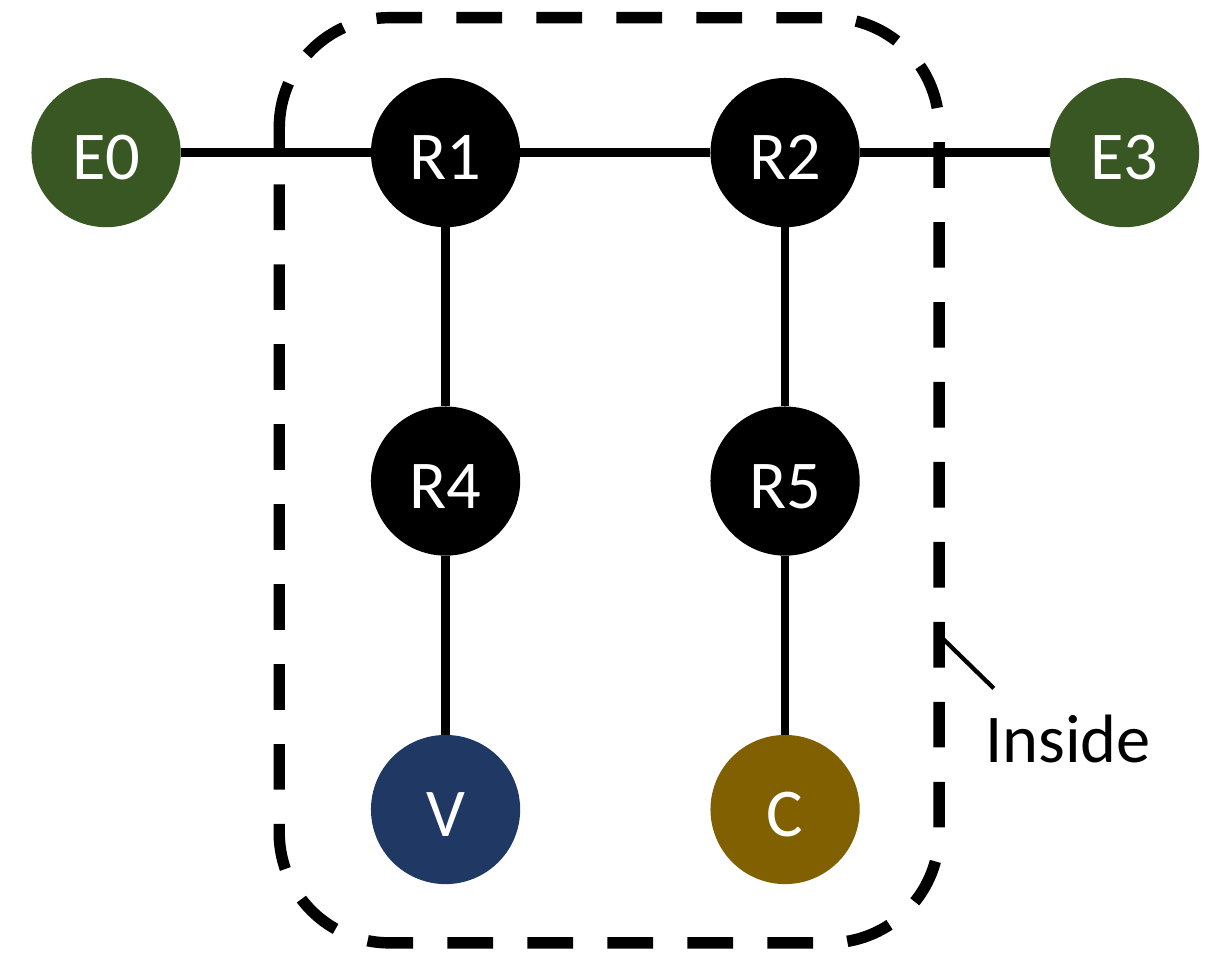
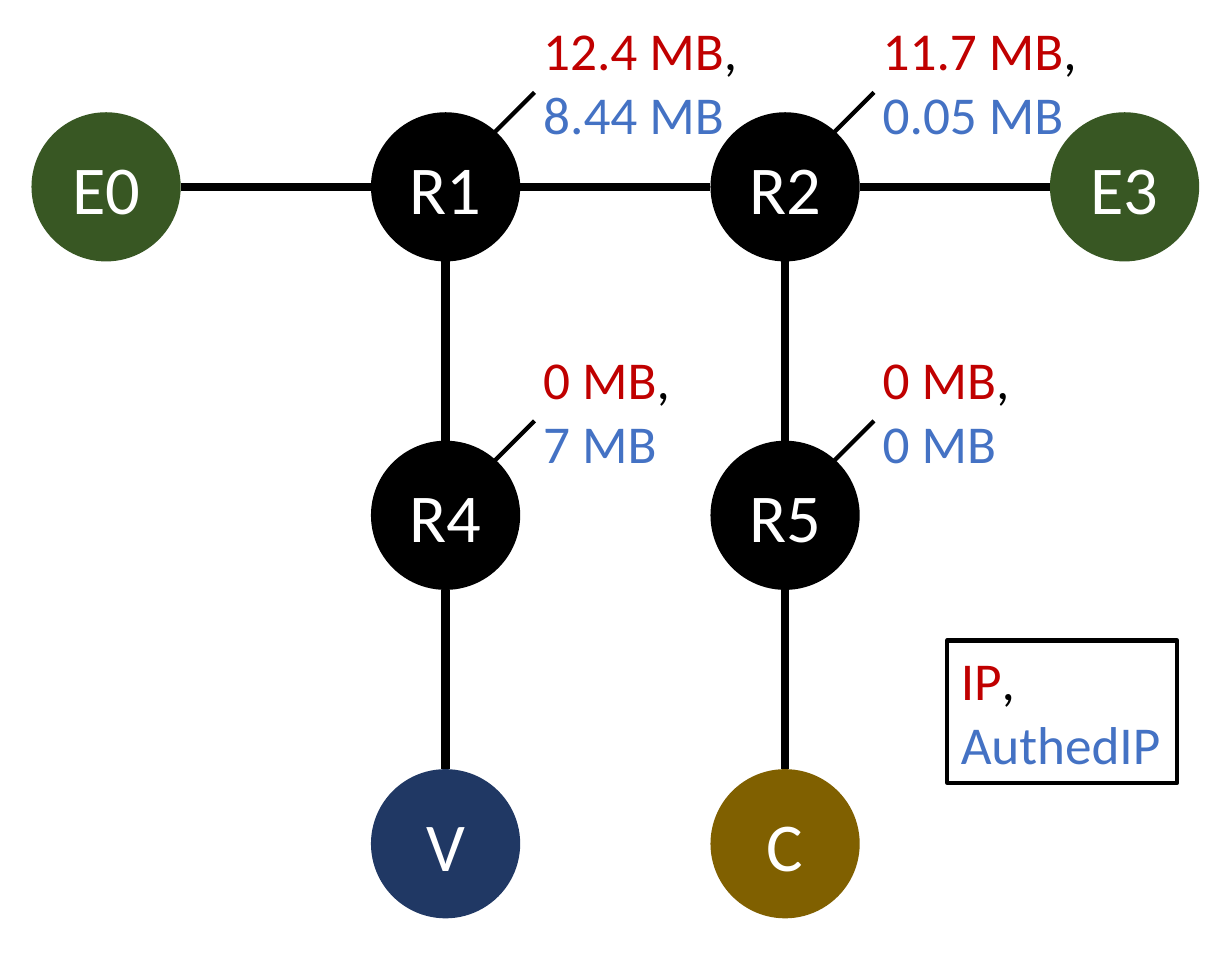
from pptx import Presentation
from pptx import util as u
from pptx.dml.color import RGBColor
from pptx.enum import dml, shapes, text
from pptx.oxml.ns import qn
from lxml import etree

COLUMNS, ROWS = 36, 28
BLACK, WHITE, RED, BLUE = "000000", "FFFFFF", "C00000", "4472C4"
GREEN, NAVY, OLIVE = "385723", "203864", "806000"
NODES = {
    "E0": (0, 0, GREEN), "E3": (3, 0, GREEN),
    "R1": (1, 0, BLACK), "R2": (2, 0, BLACK),
    "R4": (1, 1, BLACK), "R5": (2, 1, BLACK),
    "V": (1, 2, NAVY), "C": (2, 2, OLIVE),
}
EDGES = ["E0 R1", "R1 R2", "R2 E3", "R1 R4", "R2 R5", "R4 V", "R5 C"]
TRAFFIC = {
    "R1": ("12.4 MB", "8.44 MB", 6.88), "R2": ("11.7 MB", "0.05 MB", 6.88),
    "R4": ("0 MB", "7 MB", 4.88), "R5": ("0 MB", "0 MB", 4.88),
}


def color(value):
    return RGBColor.from_string(value)


def write(shape, paragraphs, size=36, align=text.PP_ALIGN.LEFT, font="Calibri"):
    frame = shape.text_frame
    for index, runs in enumerate(paragraphs):
        paragraph = frame.add_paragraph() if index else frame.paragraphs[0]
        paragraph.alignment = align
        for words, ink in runs:
            run = paragraph.add_run()
            run.text = words
            run.font.name = font
            run.font.size = u.Pt(size)
            run.font.color.rgb = color(ink)


def pair(first, second):
    return [[(first, RED), (", ", BLACK)], [(second, BLUE)]]


class Network:
    radius = 2.18
    left = 3.1
    column_step, row_step = 9.92, 9.6
    thin, thick, heavy = 2.25, 4.5, 6

    def __init__(self, presentation):
        self.presentation = presentation
        self.unit_x = presentation.slide_width / COLUMNS
        self.unit_y = presentation.slide_height / ROWS

    def start(self, top):
        self.slide = self.presentation.slides.add_slide(self.presentation.slide_layouts[6])
        self.top = top
        for name in NODES:
            self.node(name)

    def place(self, x, y):
        return round(x * self.unit_x), round(y * self.unit_y)

    def center(self, name):
        column, row, _ = NODES[name]
        return self.left + column * self.column_step, self.top + row * self.row_step

    def shape(self, kind, x, y, width, height):
        shape = self.slide.shapes.add_shape(kind, *self.place(x, y), *self.place(width, height))
        shape.shadow.inherit = False
        return shape

    def outline(self, shape, width):
        shape.line.color.rgb = color(BLACK)
        shape.line.width = u.Pt(width)

    def node(self, name):
        x, y = self.center(name)
        size = 2 * self.radius
        circle = self.shape(shapes.MSO_SHAPE.OVAL, x - self.radius, y - self.radius, size, size)
        circle.fill.solid()
        circle.fill.fore_color.rgb = color(NODES[name][2])
        circle.line.fill.background()
        write(circle, [[(name, WHITE)]], align=text.PP_ALIGN.CENTER)

    def line(self, start, end, width):
        connector = self.slide.shapes.add_connector(
            shapes.MSO_CONNECTOR.STRAIGHT, *self.place(*start), *self.place(*end))
        self.outline(connector, width)
        etree.SubElement(connector._element.spPr, qn("a:effectLst"))

    def edges(self):
        for edge in EDGES:
            (x1, y1), (x2, y2) = map(self.center, edge.split())
            dx = self.radius if x2 > x1 else 0
            dy = self.radius if y2 > y1 else 0
            self.line((x1 + dx, y1 + dy), (x2 - dx, y2 - dy), self.thick)

    def boundary(self, x, y, width, height):
        frame = self.shape(shapes.MSO_SHAPE.ROUNDED_RECTANGLE, x, y, width, height)
        frame.fill.background()
        self.outline(frame, self.heavy)
        frame.line.dash_style = dml.MSO_LINE.DASH

    def label(self, paragraphs, x, y, width, height, size=28):
        box = self.slide.shapes.add_textbox(*self.place(x, y), *self.place(width, height))
        box.text_frame.word_wrap = False
        box.text_frame.auto_size = text.MSO_AUTO_SIZE.SHAPE_TO_FIT_TEXT
        write(box, paragraphs, size=size)
        return box

    def callout(self, name, first, second, width):
        x, y = self.center(name)
        self.label(pair(first, second), x + 2.46, y - 5.14, width, 4.16)
        self.line((x + 2.6, y - 2.76), (x + 1.22, y - 1.38), self.thin)


presentation = Presentation()
presentation.slide_width, presentation.slide_height = u.Inches(9), u.Inches(7)
network = Network(presentation)

network.start(top=4.46)
network.boundary(8.16, 0.52, 19.28, 27.04)
network.label([[("Inside", BLACK)]], 28.4, 20.08, 5.68, 2.84, size=36)
network.line((27.44, 18.56), (29.04, 20.12), network.thin)
network.edges()

network.start(top=5.46)
network.edges()
for router, values in TRAFFIC.items():
    network.callout(router, *values)
legend = network.label(pair("IP", "AuthedIP"), 27.68, 18.72, 6.72, 4.16)
network.outline(legend, network.thin)

presentation.save("out.pptx")
